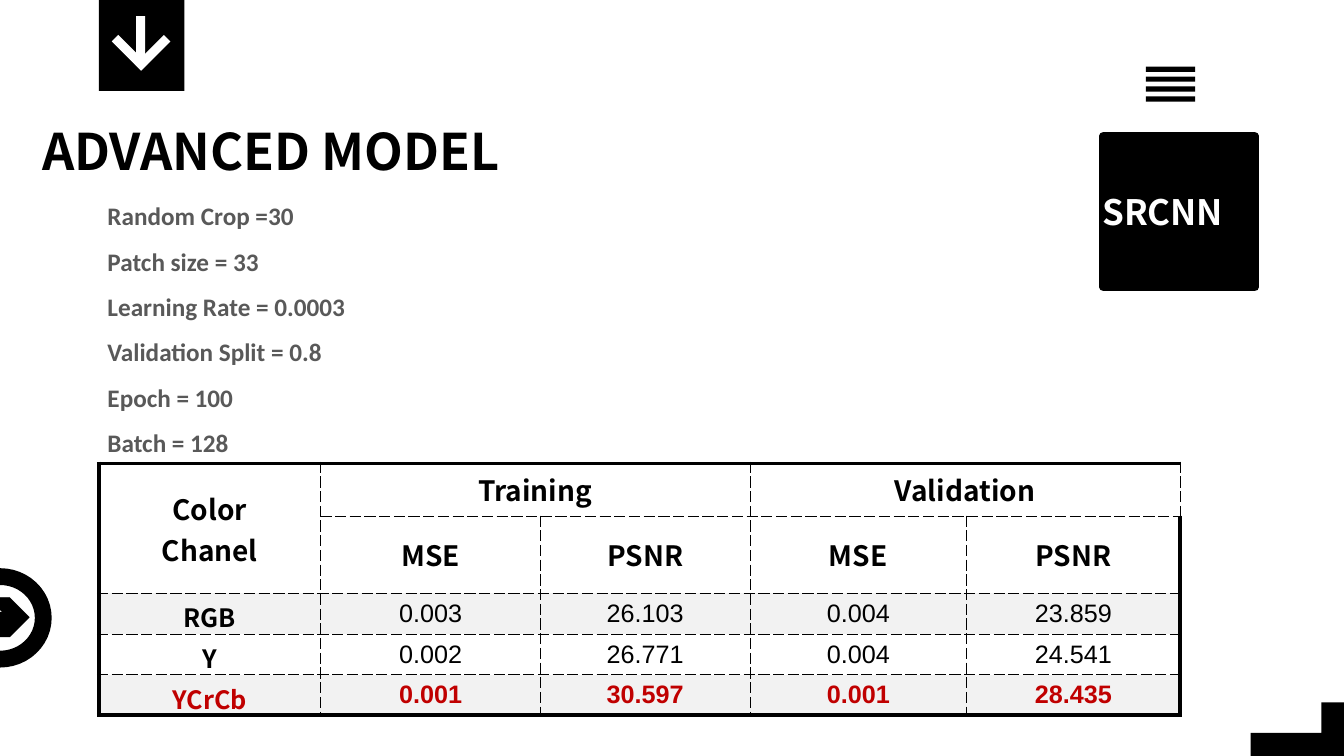
import pptx
import pptx.util
import pptx.dml.color
import pptx.enum.shapes
import pptx.enum.text
import pptx.oxml

Cm, Pt = pptx.util.Cm, pptx.util.Pt
KIND = pptx.enum.shapes.MSO_SHAPE
ALIGN = pptx.enum.text.PP_ALIGN
ANCHOR = pptx.enum.text.MSO_ANCHOR
NOTO = "Noto Sans CJK SC"
tones = {"black": "000000", "white": "FFFFFF", "gray": "595959",
         "band": "F2F2F2", "red": "C00000"}
tones = {k: pptx.dml.color.RGBColor.from_string(v) for k, v in tones.items()}

deck = pptx.Presentation()
deck.slide_width, deck.slide_height = Cm(33.87), Cm(19.05)
slide = deck.slides.add_slide(deck.slide_layouts[5])


def draw(kind, box, fill="black", line=0, turn=0):
    shape = slide.shapes.add_shape(kind, *map(Cm, box))
    shape.shadow.inherit = False
    shape.rotation = turn
    if fill:
        shape.fill.solid()
        shape.fill.fore_color.rgb = tones[fill]
    else:
        shape.fill.background()
    if line:
        shape.line.color.rgb = tones["black"]
        shape.line.width = Pt(line)
    else:
        shape.line.fill.background()


def write(frame, text, size, tone="black", face=NOTO, bold=True,
          align=ALIGN.LEFT, space=None):
    frame.text = text
    for para in frame.paragraphs:
        para.alignment = align
        para.line_spacing = space
        para.font.size = Pt(size)
        para.font.name = face
        para.font.bold = bold
        para.font.color.rgb = tones[tone]


# Title
title = slide.shapes.title
title.left, title.top, title.width, title.height = map(Cm, (0.81, 2.9, 16.94, 1.8))
write(title.text_frame, "ADVANCED MODEL", 36)
title.text_frame.vertical_anchor = ANCHOR.TOP

# Model badge
draw(KIND.RECTANGLE, (27.81, 3.43, 3.81, 3.81), line=6)
badge = slide.shapes.add_textbox(Cm(27.53), Cm(4.67), Cm(4.34), Cm(1.32))
badge.text_frame.word_wrap = True
write(badge.text_frame, "SRCNN", 25, "white", align=ALIGN.JUSTIFY)

# Down arrow tile
draw(KIND.RECTANGLE, (2.49, 0, 2.16, 2.29))
for left, top, height, turn in ((3.73, 0.81, 1.04, 225), (3.15, 0.81, 1.04, 135),
                                (3.43, 0.41, 1.24, 0)):
    draw(KIND.RECTANGLE, (left, top, 0.23, height), "white", turn=turn)

# Menu bars
for i in range(4):
    draw(KIND.RECTANGLE, (28.88, 1.68 + 0.25 * i, 1.24, 0.13))

# Results table
rows = [["Color\nChanel", "Training", "", "Validation", ""],
        ["", "MSE", "PSNR", "MSE", "PSNR"],
        ["RGB", "0.003", "26.103", "0.004", "23.859"],
        ["Y", "0.002", "26.771", "0.004", "24.541"],
        ["YCrCb", "0.001", "30.597", "0.001", "28.435"]]
wide = (5.59, 5.54, 5.28, 5.46, 5.38)
tall = (1.32, 1.93, 1.02, 1.02, 1.02)
grid = slide.shapes.add_table(5, 5, Cm(2.49), Cm(11.68), Cm(sum(wide)), Cm(sum(tall))).table
for col, size in zip(grid.columns, wide):
    col.width = Cm(size)
for row, size in zip(grid.rows, tall):
    row.height = Cm(size)
grid.cell(0, 0).merge(grid.cell(1, 0))
grid.cell(0, 1).merge(grid.cell(0, 2))
grid.cell(0, 3).merge(grid.cell(0, 4))

for r, row in enumerate(rows):
    for c, text in enumerate(row):
        cell = grid.cell(r, c)
        cell.margin_left = cell.margin_right = Cm(0.13)
        cell.margin_top = cell.margin_bottom = Cm(0.13)
        cell.vertical_anchor = ANCHOR.MIDDLE
        # Thick frame outside, fine dashes inside
        edges = {"lnL": c == 0, "lnR": c == 4, "lnT": r == 0, "lnB": r == 4}
        for tag, outer in edges.items():
            width, dash = (Pt(3), "solid") if outer else (Pt(0.5), "sysDash")
            cell._tc.get_or_add_tcPr().append(pptx.oxml.parse_xml(
                f'<a:{tag} xmlns:a="http://schemas.openxmlformats.org/drawingml/2006/main"'
                f' w="{width}"><a:solidFill><a:srgbClr val="{tones["black"]}"/></a:solidFill>'
                f'<a:prstDash val="{dash}"/></a:{tag}>'))
        if r in (2, 4):
            cell.fill.solid()
            cell.fill.fore_color.rgb = tones["band"]
        else:
            cell.fill.background()
        if not cell.is_spanned:
            value = r > 1 and c > 0
            write(cell.text_frame, text, 20 if r < 2 else 18,
                  "red" if r == 4 else "black", "Arial" if value else NOTO,
                  not value or r == 4, ALIGN.CENTER)

# Ring with arrow at the left edge
draw(KIND.RECTANGLE, (-0.76, 15.42, 1.04, 0.3), line=0.25)
draw(KIND.CHEVRON, (-0.3, 15.06, 1.04, 0.99), line=0.25)
draw(KIND.OVAL, (-1.09, 14.53, 2.18, 2.08), None, 12)

# Corner step
points = [(33.87, 17.7), (33.87, 19.05), (31.52, 19.05),
          (31.52, 18.47), (33.3, 18.47), (33.3, 17.7)]
points = [(Cm(x), Cm(y)) for x, y in points]
path = slide.shapes.build_freeform(*points[0])
path.add_line_segments(points[1:])
step = path.convert_to_shape()
step.shadow.inherit = False
step.fill.solid()
step.fill.fore_color.rgb = tones["black"]
step.line.fill.background()

# Training settings
notes = slide.shapes.add_textbox(Cm(2.46), Cm(4.55), Cm(6.81), Cm(7.06))
notes.text_frame.word_wrap = False
write(notes.text_frame, "Random Crop =30\nPatch size = 33\nLearning Rate = 0.0003\n"
      "Validation Split = 0.8\nEpoch = 100\nBatch = 128", 18, "gray", "Calibri", space=1.5)

deck.save("out.pptx")
